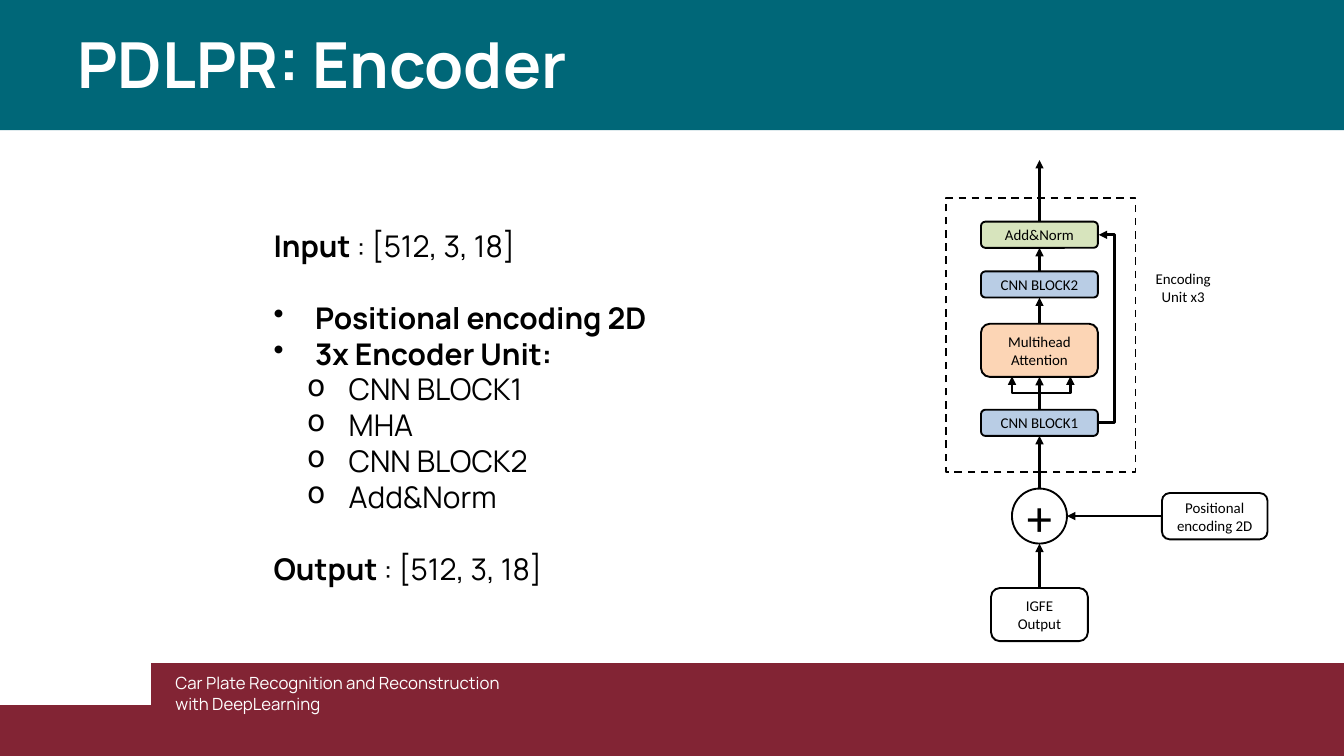
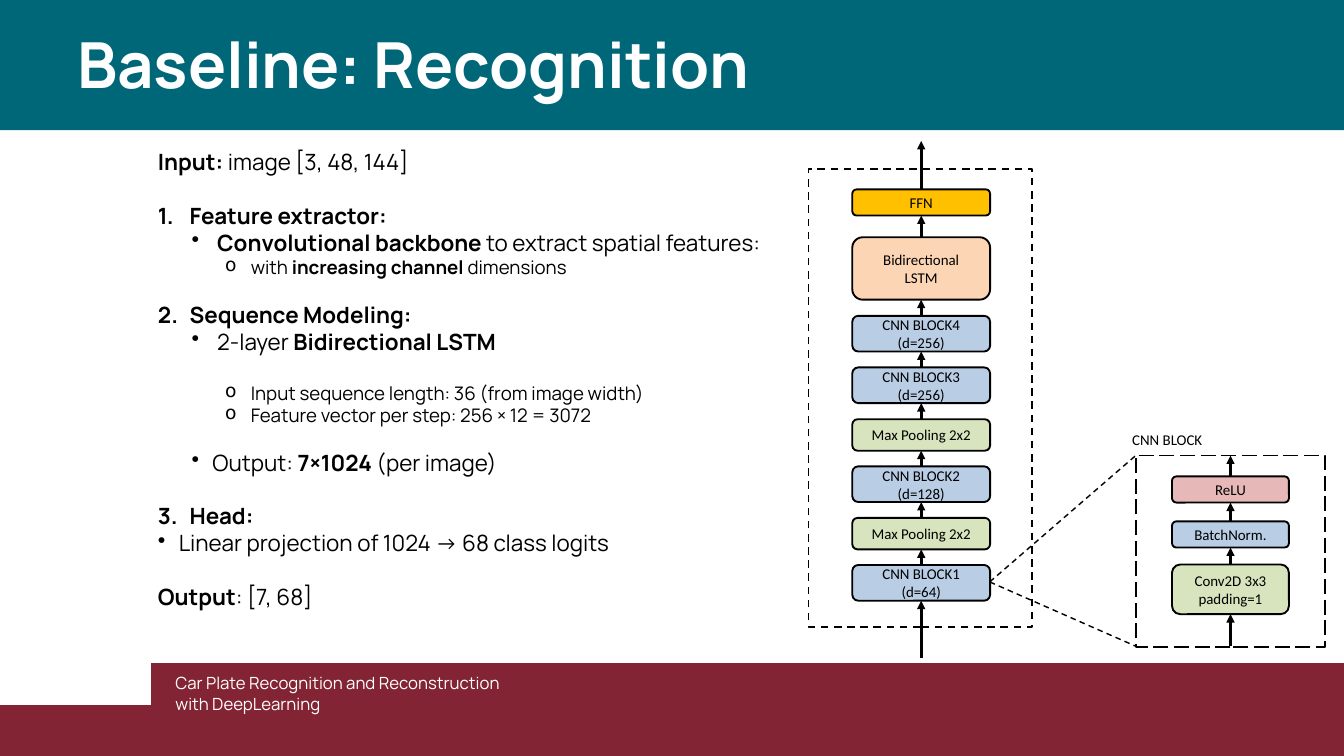
import itertools

import lxml.etree
import pptx
import pptx.dml.color
import pptx.enum.dml
import pptx.enum.shapes
import pptx.enum.text
import pptx.oxml.ns
import pptx.util

Cm, Pt = pptx.util.Cm, pptx.util.Pt
qn = pptx.oxml.ns.qn
SHAPE = pptx.enum.shapes.MSO_SHAPE
LINK = pptx.enum.shapes.MSO_CONNECTOR
DASH = pptx.enum.dml.MSO_LINE
ALIGN = pptx.enum.text.PP_ALIGN
ANCHOR = pptx.enum.text.MSO_ANCHOR

# Palette
TEAL, WINE = "006778", "822434"
WHITE, BLACK = "FFFFFF", "000000"
BLUE, GREEN, PEACH = "B9CDE5", "D7E4BD", "FCD5B5"
ROSE, GOLD = "E6B9B8", "FFC000"


def rgb(code):
    return pptx.dml.color.RGBColor.from_string(code)


def write(frame, text, face="Manrope", size=24, hue=BLACK, align=ALIGN.LEFT,
          level=0, mark=None, left=0, hang=0, before=0, pitch=None):
    """Add one paragraph; words between double stars are bold."""
    para = frame.paragraphs[0]
    if para.runs:
        para = frame.add_paragraph()
    para.alignment, para.level = align, level
    if before:
        para.space_before = Pt(before)
    if pitch:
        para.line_spacing = Pt(pitch)
    if left:
        props = para._p.get_or_add_pPr()
        props.set("marL", str(Cm(left)))
        props.set("indent", str(-Cm(hang)))
        if mark:
            lxml.etree.SubElement(props, qn("a:buChar"), char=mark)
    for turn, part in enumerate(text.split("**")):
        if part:
            run = para.add_run()
            run.text = part
            font = run.font
            font.name, font.size, font.bold = face, Pt(size), turn % 2 == 1
            font.color.rgb = rgb(hue)


class Deck:
    def __init__(self):
        self.show = pptx.Presentation()
        self.show.slide_width, self.show.slide_height = Cm(50.8), Cm(28.58)
        self.slide = None

    def page(self, title):
        """Start a slide with title band, title and footer."""
        self.slide = self.show.slides.add_slide(self.show.slide_layouts[5])
        head = self.slide.shapes.title
        band = self.box("", TEAL, 0, -0.06, 50.8, 4.98, SHAPE.RECTANGLE, edge=0)
        head.element.addprevious(band.element)
        head.left, head.top, head.width, head.height = map(
            Cm, (2.92, 1.17, 36.45, 2.69))
        self.frame(head.text_frame, inset=0)
        write(head.text_frame, f"**{title}**", size=68, hue=WHITE, pitch=74.8)
        # Footer
        self.patch(0, 26.64, 45.08, 1.94)
        self.patch(5.72, 25.07, 45.08, 3.51)
        self.text(6.63, 25.45, 12.7, 1.55, [
            ("Car Plate Recognition and Reconstruction with DeepLearning", {})],
            inset=0, size=18, hue=WHITE)

    def frame(self, frame, anchor=ANCHOR.TOP, inset=None):
        frame.word_wrap = True
        frame.auto_size = pptx.enum.text.MSO_AUTO_SIZE.NONE
        frame.vertical_anchor = anchor
        if inset is not None:
            frame.margin_left = frame.margin_right = Cm(inset)
            frame.margin_top = frame.margin_bottom = Cm(inset)

    def patch(self, x, y, wide, high):
        """Draw a plain footer block."""
        pen = self.slide.shapes.build_freeform(Cm(x), Cm(y))
        pen.add_line_segments([(Cm(a), Cm(b)) for a, b in (
            (x + wide, y), (x + wide, y + high), (x, y + high))], close=True)
        form = pen.convert_to_shape()
        self.paint(form, WINE, 0)

    def paint(self, form, hue, edge, dash=None):
        form.shadow.inherit = False
        form.fill.solid()
        form.fill.fore_color.rgb = rgb(hue)
        if edge:
            form.line.color.rgb, form.line.width = rgb(BLACK), Pt(edge)
            if dash:
                form.line.dash_style = dash
        else:
            form.line.fill.background()

    def box(self, text, hue, x, y, wide, high, kind=SHAPE.ROUNDED_RECTANGLE,
            edge=2, dash=None, size=16):
        form = self.slide.shapes.add_shape(kind, *map(Cm, (x, y, wide, high)))
        self.paint(form, hue, edge, dash)
        if text:
            self.frame(form.text_frame, ANCHOR.MIDDLE)
            self.label(form.text_frame, text, size)
        return form

    def label(self, frame, text, size=16):
        for line in text.split("\n"):
            write(frame, line, face="Calibri", size=size, align=ALIGN.CENTER)

    def text(self, x, y, wide, high, items, inset=None, **base):
        area = self.slide.shapes.add_textbox(*map(Cm, (x, y, wide, high)))
        self.frame(area.text_frame, inset=inset)
        for words, style in items:
            write(area.text_frame, words, **{**base, **style})

    def note(self, text, x, y, wide, high):
        area = self.slide.shapes.add_textbox(*map(Cm, (x, y, wide, high)))
        self.frame(area.text_frame)
        self.label(area.text_frame, text)

    def line(self, start, end, kind=LINK.STRAIGHT, width=3, dash=None, tip=True):
        link = self.slide.shapes.add_connector(kind, *map(Cm, (*start, *end)))
        link.line.color.rgb, link.line.width = rgb(BLACK), Pt(width)
        if dash:
            link.line.dash_style = dash
        props = link.element.spPr
        if tip:
            lxml.etree.SubElement(props.find(qn("a:ln")), qn("a:tailEnd"),
                                  type="triangle")
        lxml.etree.SubElement(props, qn("a:effectLst"))
        return link

    def elbow(self, start, end, bend=0.5, rise=False):
        """Draw a bent arrow; with rise it leaves upwards, not sideways."""
        if rise:
            mid = [(a + b) / 2 for a, b in zip(start, end)]
            half = (start[1] - end[1]) / 2, (end[0] - start[0]) / 2
            start = [m - h for m, h in zip(mid, half)]
            end = [m + h for m, h in zip(mid, half)]
        props = self.line(start, end, LINK.ELBOW).element.spPr
        if rise:
            props.find(qn("a:xfrm")).set("rot", str(270 * 60000))
        shape = props.find(qn("a:prstGeom"))
        guides = shape.find(qn("a:avLst"))
        if guides is None:
            guides = lxml.etree.SubElement(shape, qn("a:avLst"))
        lxml.etree.SubElement(guides, qn("a:gd"), name="adj1",
                              fmla=f"val {round(bend * 100000)}")

    def stack(self, mid, wide, start, end, blocks):
        """Pile up blocks from bottom to top, with arrows in the gaps."""
        for text, hue, top, high in blocks:
            self.box(text, hue, mid - wide / 2, top, wide, high)
        exits = [start] + [block[2] for block in blocks]
        entries = [top + high for _, _, top, high in blocks] + [end]
        for low, peak in zip(exits, entries):
            self.line((mid, low), (mid, peak))


def encoder(deck):
    deck.page("PDLPR: Encoder")

    # Summary
    dot = dict(mark="•", left=1.57, hang=1.57)
    sub = dict(mark="o", left=2.84, hang=1.57, level=1)
    gap = dict(before=38.4)
    units = "CNN BLOCK1", "MHA", "CNN BLOCK2", "Add&Norm"
    deck.text(10.34, 8.61, 19.76, 15.44, [
        ("**Input **: [512, 3, 18]", {}),
        ("**Positional encoding 2D**", {**dot, **gap}),
        ("**3x Encoder Unit:**", dot),
        *zip(units, itertools.repeat(sub)),
        ("**Output **: [512, 3, 18]", gap)], inset=0, size=32)

    # Inputs and their sum
    mid, wide = 39.29, 4.42
    deck.box("Positional encoding 2D", WHITE, 43.92, 18.64, 3.99, 1.75)
    deck.box("+", WHITE, mid - 1.04, 18.47, 2.08, 2.08, SHAPE.OVAL, size=54)
    deck.line((43.92, 19.51), (mid + 1.04, 19.51))
    deck.box("IGFE\nOutput", WHITE, mid - 1.83, 22.23, 3.66, 2.01)
    deck.line((mid, 22.23), (mid, 20.55))

    # Encoding unit
    deck.box("", WHITE, 35.76, 7.47, 7.16, 10.36, SHAPE.RECTANGLE, dash=DASH.DASH)
    deck.stack(mid, wide, 18.47, 6.05, [
        ("CNN BLOCK1", BLUE, 15.49, 0.99),
        ("Multihead Attention", PEACH, 12.24, 2.01),
        ("CNN BLOCK2", BLUE, 10.26, 0.99),
        ("Add&Norm", GREEN, 8.38, 0.99)])
    for side in (-1.04, 1.17):
        deck.elbow((mid, 15.49), (mid + side, 14.23), rise=True)
    edge = mid + wide / 2
    deck.elbow((edge, 15.98), (edge + 0.03, 8.88), bend=21)
    deck.note("Encoding\nUnit x3", 43.41, 10.06, 2.62, 1.63)


def baseline(deck):
    deck.page("Baseline: Recognition")

    # Main chain
    deck.box("", WHITE, 30.56, 6.4, 8.46, 17.3, SHAPE.RECTANGLE, dash=DASH.DASH)
    deck.stack(34.82, 5.21, 24.87, 5.33, [
        ("CNN BLOCK1\n(d=64)", BLUE, 21.36, 1.35),
        ("Max Pooling 2x2", GREEN, 19.58, 1.19),
        ("CNN BLOCK2 (d=128)", BLUE, 17.63, 1.35),
        ("Max Pooling 2x2", GREEN, 15.85, 1.19),
        ("CNN BLOCK3 (d=256)", BLUE, 13.89, 1.35),
        ("CNN BLOCK4 (d=256)", BLUE, 11.94, 1.35),
        ("Bidirectional\nLSTM", PEACH, 8.97, 2.36),
        ("FFN", GOLD, 7.16, 0.99)])

    # Block detail
    deck.box("", WHITE, 42.93, 17.22, 7.16, 7.24, SHAPE.RECTANGLE,
             dash=DASH.LONG_DASH)
    deck.stack(46.51, 4.42, 24.43, 17.22, [
        ("Conv2D 3x3\npadding=1", GREEN, 21.34, 1.88),
        ("BatchNorm.", BLUE, 19.71, 0.99),
        ("ReLU", ROSE, 18.01, 0.99)])
    deck.note("CNN BLOCK", 41.73, 16.15, 4.78, 0.94)
    for end in (17.22, 24.43):
        deck.line((37.41, 22), (42.93, end), width=1.5, dash=DASH.DASH, tip=False)

    # Summary
    step = dict(left=1.2, hang=1.2)
    dot = dict(mark="•", left=2.24, hang=0.97, level=1)
    sub = dict(mark="o", left=3.51, hang=0.97, level=2, size=20)
    wide, slim = dict(before=28.8), dict(before=24)
    deck.text(5.72, 5.49, 24.33, 19.91, [
        ("**Input: **image [3, 48, 144]", {}),
        ("**1.\tFeature extractor:**", {**step, **wide}),
        ("**Convolutional backbone **to extract spatial features:", dot),
        ("with **increasing channel **dimensions", sub),
        ("**2.\tSequence Modeling:**", {**step, **slim}),
        ("2-layer **Bidirectional LSTM**", dot),
        ("Input sequence length: 36 (from image width)", {**sub, **wide}),
        ("Feature vector per step: 256 × 12 = 3072", sub),
        ("Output: **7×1024** (per image)",
         {**dot, **slim, "left": 2.06, "hang": 0.79}),
        ("**3.\tHead:**", {**step, **wide}),
        ("Linear projection of 1024 → 68 class logits",
         dict(mark="•", left=0.79, hang=0.79)),
        ("**Output**: [7, 68]", wide)])


def main():
    deck = Deck()
    encoder(deck)
    baseline(deck)
    deck.show.save("out.pptx")


if __name__ == "__main__":
    main()
